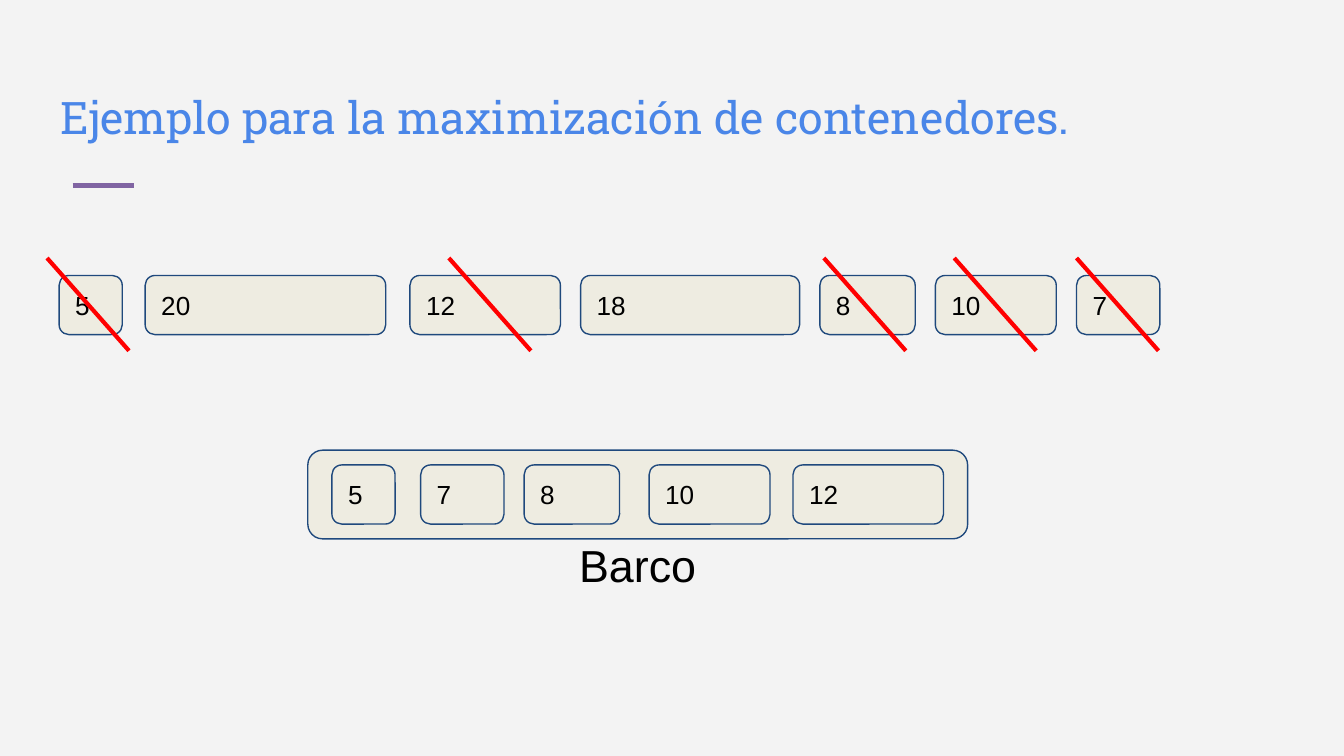
from collections import namedtuple

from lxml import etree
from pptx import Presentation
from pptx import util as u
from pptx.dml.color import RGBColor
from pptx.enum import shapes, text
from pptx.oxml import ns

Box = namedtuple("Box", "col row cols rows")

BACKGROUND = RGBColor(0xF3, 0xF3, 0xF3)
TITLE_BLUE = RGBColor(0x4A, 0x86, 0xE8)
ACCENT_PURPLE = RGBColor(0x80, 0x64, 0xA2)
CONTAINER_FILL = RGBColor(0xEE, 0xEC, 0xE1)
CONTAINER_EDGE = RGBColor(0x1F, 0x49, 0x7D)
STRIKE_RED = RGBColor(0xFF, 0x00, 0x00)
BLACK = RGBColor(0x00, 0x00, 0x00)

WIDTH = u.Inches(10)
HEIGHT = WIDTH * 9 // 16
COLUMNS, ROWS = 100, 56.25
CONTAINER_COLS = {5: 4.7, 7: 6.2, 8: 7.1, 10: 9, 12: 11.2, 18: 16.3, 20: 17.9}
QUEUE = {5: 0, 20: 6.4, 12: 26.1, 18: 38.8, 8: 56.6, 10: 65.2, 7: 75.7}
STRIKES = {5: -0.9, 12: 2.9, 8: 0.3, 10: 1.4, 7: 0}
CARGO = {5: 1.8, 7: 8.4, 8: 16.1, 10: 25.4, 12: 36.1}

FRAME = dict(
    word_wrap=True,
    auto_size=text.MSO_AUTO_SIZE.NONE,
    margin_left=u.Inches(0.1),
    margin_top=u.Inches(0.1),
    margin_right=u.Inches(0.1),
    margin_bottom=u.Inches(0.1),
)


def apply(target, formats):
    """Set every attribute named in a dict of format values."""
    for name, value in formats.items():
        setattr(target, name, value)


def place(box):
    """Turn a grid box into left, top, width and height."""
    return (
        int(WIDTH * box.col / COLUMNS),
        int(HEIGHT * box.row / ROWS),
        int(WIDTH * box.cols / COLUMNS),
        int(HEIGHT * box.rows / ROWS),
    )


def write(frame, words, size, font, color, align=text.PP_ALIGN.LEFT, **frame_formats):
    """Write one formatted paragraph into a text frame."""
    apply(frame, {**FRAME, **frame_formats})
    frame.text = words
    paragraph = frame.paragraphs[0]
    paragraph.alignment = align
    apply(paragraph.runs[0].font, dict(size=u.Pt(size), name=font))
    paragraph.runs[0].font.color.rgb = color


def draw_line(slide, box, color, weight):
    """Draw a line from the top left to the bottom right of a box."""
    left, top, width, height = place(box)
    line = slide.shapes.add_connector(
        shapes.MSO_CONNECTOR.STRAIGHT, left, top, left + width, top + height
    )
    line.line.color.rgb = color
    line.line.width = u.Pt(weight)
    etree.SubElement(line._element.spPr, ns.qn("a:effectLst"))


def draw_container(slide, box, label=None):
    """Draw a rounded container, with its weight if it has one."""
    container = slide.shapes.add_shape(
        shapes.MSO_SHAPE.ROUNDED_RECTANGLE, *place(box)
    )
    container.shadow.inherit = False
    container.fill.solid()
    container.fill.fore_color.rgb = CONTAINER_FILL
    container.line.color.rgb = CONTAINER_EDGE
    container.line.width = u.Pt(0.75)
    if label:
        write(container.text_frame, label, 14, "Arial", BLACK,
              vertical_anchor=text.MSO_ANCHOR.MIDDLE)


def draw_row(slide, box, offsets):
    """Place containers at their column offsets along a row."""
    for weight, offset in offsets.items():
        spot = Box(box.col + offset, box.row, CONTAINER_COLS[weight], box.rows)
        draw_container(slide, spot, str(weight))


def draw_heading(slide, box):
    """Place the title and the short accent line under it."""
    draw_line(slide, Box(box.col + 1.9, box.row + 6.5, 4.6, 0), ACCENT_PURPLE, 3)
    title = slide.shapes.title
    apply(title, dict(zip(("left", "top", "width", "height"), place(box))))
    write(title.text_frame, "Ejemplo para la maximización de contenedores.",
          24, "Roboto Slab", TITLE_BLUE,
          vertical_anchor=text.MSO_ANCHOR.BOTTOM, margin_bottom=u.Inches(0.41))


def draw_queue(slide, box):
    """Place the waiting containers and strike out the loaded ones."""
    draw_row(slide, box, QUEUE)
    for weight, shift in STRIKES.items():
        strike = Box(box.col + QUEUE[weight] + shift, box.row - 1.3, 6.1, 6.9)
        draw_line(slide, strike, STRIKE_RED, 2.25)


def draw_ship(slide, box):
    """Place the ship, its cargo and its caption."""
    draw_container(slide, box)
    draw_row(slide, Box(box.col, box.row + 1.1, box.cols, 4.4), CARGO)
    caption = Box(box.col + (box.cols - 15) / 2, box.row + 5.5, 15, 5.1)
    write(slide.shapes.add_textbox(*place(caption)).text_frame, "Barco",
          24, "Arial", BLACK, text.PP_ALIGN.CENTER)


def main():
    """Build and save the slide."""
    deck = Presentation()
    apply(deck, dict(slide_width=WIDTH, slide_height=HEIGHT))
    slide = deck.slides.add_slide(deck.slide_layouts.get_by_name("Title Only"))
    slide.background.fill.solid()
    slide.background.fill.fore_color.rgb = BACKGROUND
    draw_heading(slide, Box(3.5, 7.3, 91.5, 7.5))
    draw_queue(slide, Box(4.4, 20.5, 81.9, 4.4))
    draw_ship(slide, Box(22.9, 33.5, 49.1, 6.6))
    deck.save("out.pptx")


if __name__ == "__main__":
    main()
